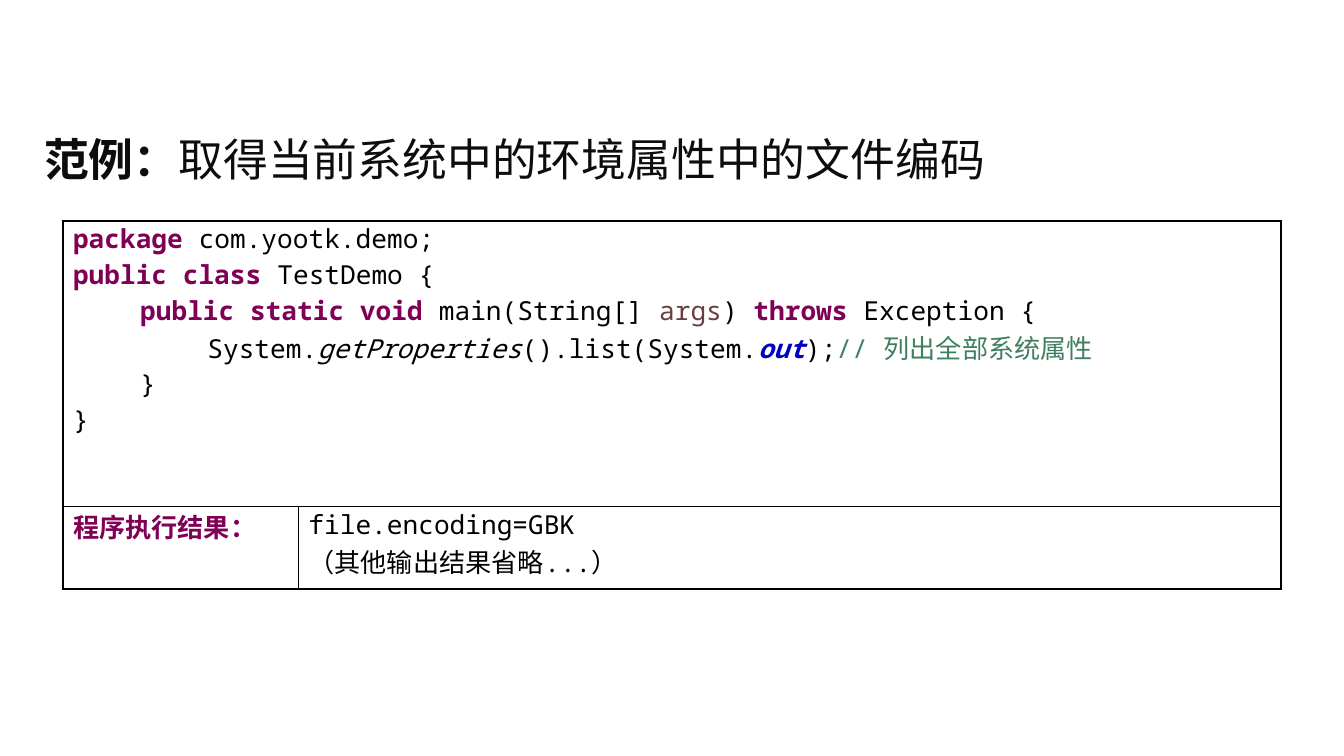
from lxml import etree
from pptx import Presentation
from pptx.dml.color import RGBColor
from pptx.enum.text import MSO_ANCHOR, PP_ALIGN
from pptx.oxml.ns import qn
from pptx.util import Cm, Pt

MIDDLE = MSO_ANCHOR.MIDDLE
LEFT = PP_ALIGN.LEFT
TITLE_ONLY = 5

TITLE_INK = RGBColor(0x0D, 0x0D, 0x0D)
BLACK = RGBColor(0x00, 0x00, 0x00)
KEYWORD = RGBColor(0x7F, 0x00, 0x55)
ARGUMENT = RGBColor(0x6A, 0x3E, 0x3E)
FIELD = RGBColor(0x00, 0x00, 0xC0)
COMMENT = RGBColor(0x3F, 0x7F, 0x5F)

CHINESE = "Noto Sans CJK SC"
MONO = "Noto Sans Mono"

PLAIN = {}
BOLD_KEYWORD = {"color": KEYWORD, "bold": True}

CODE = [
    [("package", BOLD_KEYWORD), (" com.yootk.demo;", PLAIN)],
    [("public class", BOLD_KEYWORD), (" TestDemo {", PLAIN)],
    [("\t", PLAIN), ("public static void", BOLD_KEYWORD),
     (" main(String[] ", PLAIN), ("args", {"color": ARGUMENT}), (") ", PLAIN),
     ("throws", BOLD_KEYWORD), (" Exception {", PLAIN)],
    [("\t\tSystem.", PLAIN), ("getProperties", {"italic": True}),
     ("().list(System.", PLAIN),
     ("out", {"color": FIELD, "bold": True, "italic": True}),
     (");", PLAIN), ("// 列出全部系统属性", {"color": COMMENT})],
    [("\t}", PLAIN)],
    [("}", PLAIN)],
]
RESULT_LABEL = [[("程序执行结果：", BOLD_KEYWORD)]]
RESULT = [[("file.encoding=GBK", PLAIN)], [("（其他输出结果省略...）", PLAIN)]]


def add_span(para, text, size=14, font=MONO, color=BLACK, bold=False, italic=False):
    span = para.add_run()
    span.text = text
    span.font.size = Pt(size)
    span.font.name = font
    span.font.color.rgb = color
    span.font.bold = bold
    span.font.italic = italic
    # Chinese characters take the East Asian font
    east_asian = etree.SubElement(span.font._element, qn("a:ea"))
    east_asian.set("typeface", CHINESE)


def add_borders(cell, width=Pt(1), color=BLACK):
    properties = cell._tc.get_or_add_tcPr()
    for position, side in enumerate(("a:lnL", "a:lnR", "a:lnT", "a:lnB")):
        line = etree.Element(qn(side), w=str(width))
        fill = etree.SubElement(line, qn("a:solidFill"))
        etree.SubElement(fill, qn("a:srgbClr"), val=str(color))
        properties.insert(position, line)


def fill_cell(cell, lines):
    frame = cell.text_frame
    for index, line in enumerate(lines):
        para = frame.add_paragraph() if index else frame.paragraphs[0]
        for text, style in line:
            add_span(para, text, **style)


def place_title(page, left, top, width, height):
    title = page.shapes.title
    title.left, title.top, title.width, title.height = left, top, width, height
    frame = title.text_frame
    frame.vertical_anchor = MIDDLE
    para = frame.paragraphs[0]
    para.alignment = LEFT
    style = {"size": 24, "font": CHINESE, "color": TITLE_INK}
    add_span(para, "范例：", bold=True, **style)
    add_span(para, "取得当前系统中的环境属性中的文件编码", **style)


def place_listing(page, left, top, width, height):
    table = page.shapes.add_table(2, 2, left, top, width, height).table
    table.first_row = False
    table.horz_banding = False

    # The label column and the result row are fixed; the rest is for code
    label_width, result_height = Cm(4.45), Cm(1.55)
    table.columns[0].width = label_width
    table.columns[1].width = width - label_width
    table.rows[0].height = height - result_height
    table.rows[1].height = result_height

    for cell in table.iter_cells():
        cell.margin_left = cell.margin_right = Cm(0.19)
        cell.margin_top = cell.margin_bottom = 0
        cell.fill.background()
        add_borders(cell)

    # Code above, program output below
    table.cell(0, 0).merge(table.cell(0, 1))
    fill_cell(table.cell(0, 0), CODE)
    fill_cell(table.cell(1, 0), RESULT_LABEL)
    fill_cell(table.cell(1, 1), RESULT)


def main():
    deck = Presentation()
    deck.slide_width, deck.slide_height = Cm(25.4), Cm(14.28)
    page = deck.slides.add_slide(deck.slide_layouts[TITLE_ONLY])
    place_title(page, Cm(0.58), Cm(2.18), Cm(24.2), Cm(1.63))
    place_listing(page, Cm(1.19), Cm(4.17), Cm(23.02), Cm(6.95))
    deck.save("out.pptx")


if __name__ == "__main__":
    main()
